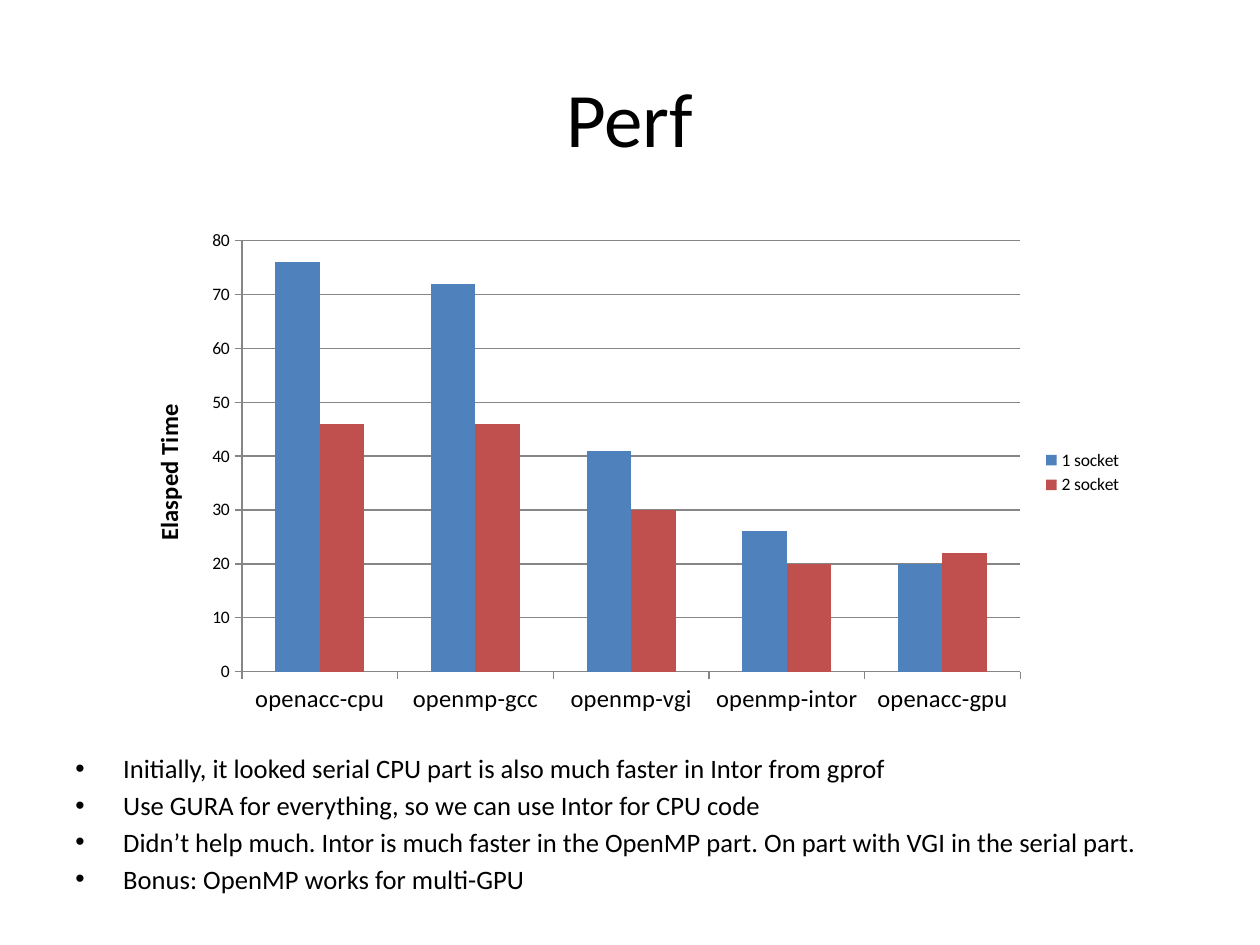
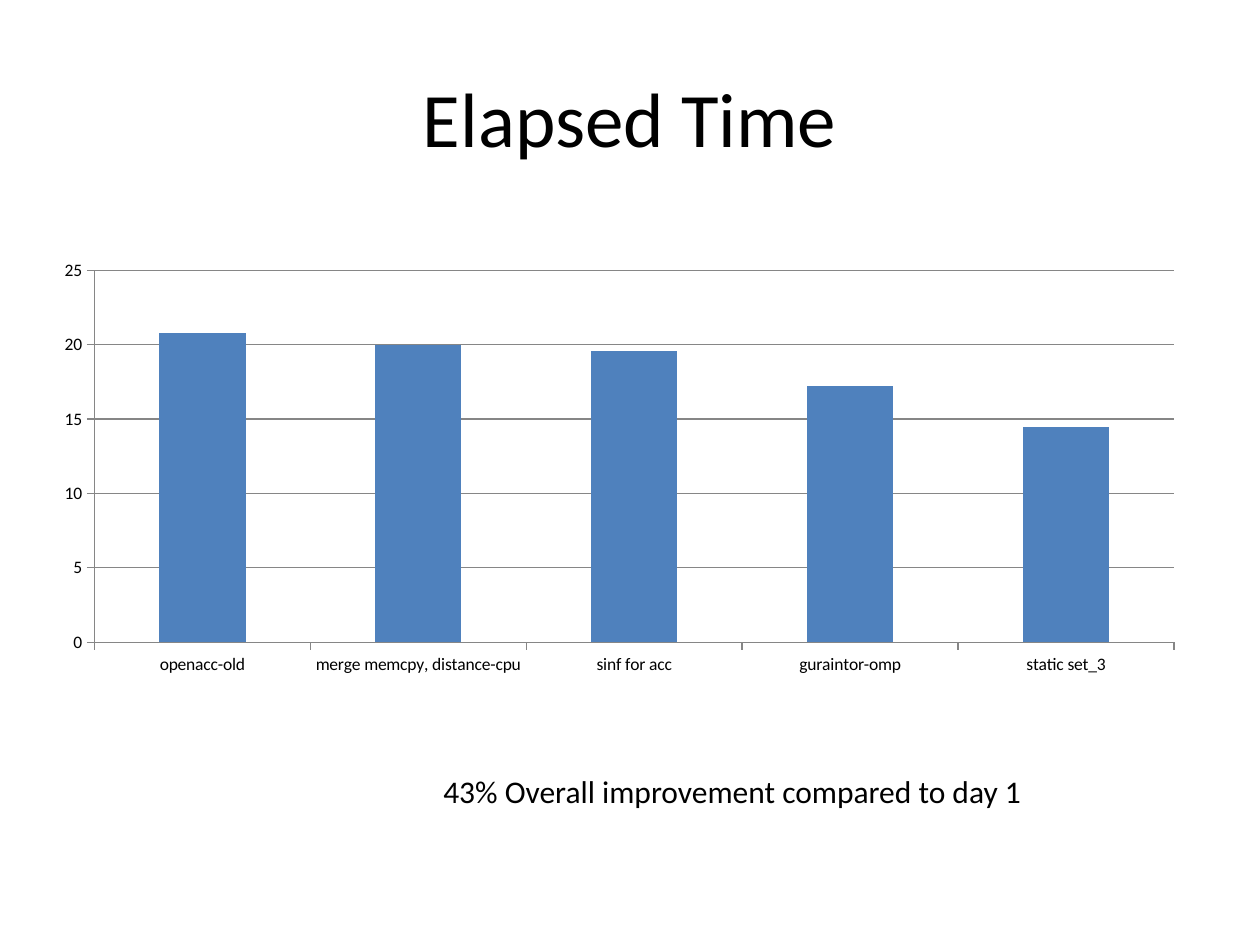
from dataclasses import dataclass
from lxml import etree
from pptx import Presentation
from pptx.chart.data import CategoryChartData
from pptx.dml.color import RGBColor
from pptx.enum.chart import XL_CHART_TYPE, XL_LEGEND_POSITION, XL_TICK_MARK
from pptx.enum.text import MSO_ANCHOR, MSO_AUTO_SIZE, PP_ALIGN
from pptx.oxml.ns import qn
from pptx.util import Inches, Pt

COLUMN = XL_CHART_TYPE.COLUMN_CLUSTERED
RIGHT = XL_LEGEND_POSITION.RIGHT
OUT, NONE = XL_TICK_MARK.OUTSIDE, XL_TICK_MARK.NONE
TOP, MIDDLE = MSO_ANCHOR.TOP, MSO_ANCHOR.MIDDLE
GROW, FIXED = MSO_AUTO_SIZE.SHAPE_TO_FIT_TEXT, MSO_AUTO_SIZE.NONE
LEFT, CENTER = PP_ALIGN.LEFT, PP_ALIGN.CENTER


@dataclass(frozen=True)
class Theme:
    """Colours, font and type sizes of the deck."""
    font: str = "Calibri"
    ink: RGBColor = RGBColor(0, 0, 0)
    paper: RGBColor = RGBColor(255, 255, 255)
    rule: RGBColor = RGBColor(0x86, 0x86, 0x86)
    bars: tuple = (RGBColor(0x4F, 0x81, 0xBD), RGBColor(0xC0, 0x50, 0x4D))
    title: float = 44
    note: float = 18
    body: float = 15.2
    label: float = 14
    small: float = 10


THEME = Theme()
HEAD = (0.5, 0.3, 9, 1.25)


def style(font, size, bold=False):
    """Set the theme font at a given size."""
    font.name, font.size, font.bold = THEME.font, Pt(size), bold
    font.color.rgb = THEME.ink


def bullet(para, indent):
    """Give a paragraph a hanging bullet."""
    props = para._p.get_or_add_pPr()
    props.set("marL", str(Inches(indent)))
    props.set("indent", str(-Inches(indent)))
    etree.SubElement(props, qn("a:buFont")).set("typeface", "Arial")
    etree.SubElement(props, qn("a:buChar")).set("char", "•")


def write(slide, box, *lines, size, align=LEFT, anchor=TOP, wrap=True,
          indent=0, gap=0):
    """Write lines of text in a box, with bullets when indented."""
    frame = slide.shapes.add_textbox(*map(Inches, box)).text_frame
    frame.word_wrap, frame.vertical_anchor = wrap, anchor
    frame.auto_size = FIXED if wrap else GROW
    for i, line in enumerate(lines):
        para = frame.paragraphs[0] if i == 0 else frame.add_paragraph()
        para.alignment, para.space_before = align, Pt(gap)
        if indent:
            bullet(para, indent)
        run = para.add_run()
        run.text = line
        style(run.font, size)


def rule(line):
    """Draw a chart line in the theme grey."""
    line.color.rgb, line.width = THEME.rule, Pt(0.75)


def plot(slide, box, cats, series, top, step, size, name=None):
    """Place a column chart, with a legend for several series."""
    data = CategoryChartData()
    data.categories = cats
    for label, values in series.items():
        data.add_series(label, values)
    chart = slide.shapes.add_chart(COLUMN, *map(Inches, box), data).chart
    style(chart.font, THEME.small)
    chart.has_title = False
    chart.has_legend = len(series) > 1
    if chart.has_legend:
        chart.legend.position = RIGHT
        chart.legend.include_in_layout = False
    bars = chart.plots[0]
    bars.gap_width, bars.overlap, bars.vary_by_categories = 150, 0, False
    for item, color in zip(bars.series, THEME.bars):
        item.format.fill.solid()
        item.format.fill.fore_color.rgb = color
    base, side = chart.category_axis, chart.value_axis
    for axis, points in ((base, size), (side, THEME.small)):
        axis.major_tick_mark, axis.minor_tick_mark = OUT, NONE
        rule(axis.format.line)
        style(axis.tick_labels.font, points)
    side.minimum_scale, side.maximum_scale, side.major_unit = 0, top, step
    side.has_major_gridlines = True
    rule(side.major_gridlines.format.line)
    if name:
        run = side.axis_title.text_frame.paragraphs[0].add_run()
        run.text = name
        style(run.font, THEME.label, bold=True)


def page(deck, title):
    """Add a blank slide with its title."""
    slide = deck.slides.add_slide(deck.slide_layouts[6])
    slide.background.fill.solid()
    slide.background.fill.fore_color.rgb = THEME.paper
    write(slide, HEAD, title, size=THEME.title, align=CENTER, anchor=MIDDLE)
    return slide


def perf(deck):
    """Build the slide that compares compilers and sockets."""
    slide = page(deck, "Perf")
    write(slide, (0.5, 5.92, 9, 1.33),
          "Initially, it looked serial CPU part is also much faster in Intor from gprof",
          "Use GURA for everything, so we can use Intor for CPU code",
          "Didn’t help much. Intor is much faster in the OpenMP part. "
          "On part with VGI in the serial part.",
          "Bonus: OpenMP works for multi-GPU",
          size=THEME.body, indent=0.38, gap=2.8)
    plot(slide, (0.99, 1.75, 8.02, 4),
         ("openacc-cpu", "openmp-gcc", "openmp-vgi", "openmp-intor", "openacc-gpu"),
         {"1 socket": (76, 72, 41, 26, 20), "2 socket": (46, 46, 30, 20, 22)},
         top=80, step=10, size=THEME.label, name="Elasped Time")


def elapsed(deck):
    """Build the slide that shows the gain step by step."""
    slide = page(deck, "Elapsed Time")
    plot(slide, (0.33, 2, 9.17, 3.42),
         ("openacc-old", "merge memcpy, distance-cpu", "sinf for acc",
          "guraintor-omp", "static set_3"),
         {"Series 1": (20.8, 20, 19.6, 17.2, 14.5)},
         top=25, step=5, size=THEME.small)
    write(slide, (3.42, 6.08, 4.84, 0.4),
          "43% Overall improvement compared to day 1",
          size=THEME.note, wrap=False)


def main():
    """Build and save the deck."""
    deck = Presentation()
    deck.slide_width, deck.slide_height = Inches(10), Inches(7.5)
    perf(deck)
    elapsed(deck)
    deck.save("out.pptx")


main()
